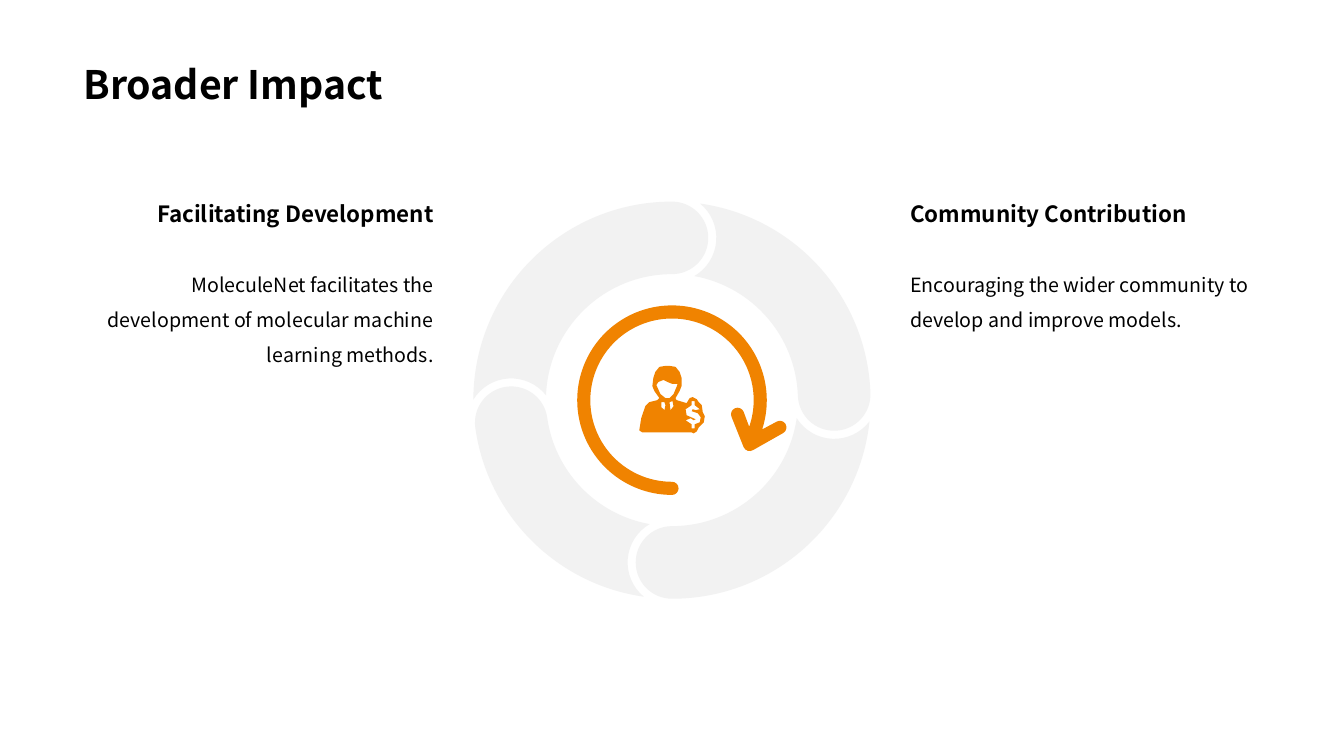
from math import acos, ceil, cos, degrees, radians, sin, tan

from lxml.etree import SubElement
from pptx import Presentation
from pptx.dml.color import RGBColor
from pptx.enum.text import MSO_ANCHOR, MSO_AUTO_SIZE, PP_ALIGN
from pptx.oxml.ns import qn
from pptx.util import Inches, Pt

WIDE, HIGH = 13.33, 7.5
SIDE = 0.73
FONT = "Noto Sans CJK SC"
BLACK, GREY, ORANGE = "000000", "F2F2F2", "F08300"
HEAD = {"size": Pt(16), "bold": True}
BODY = {"size": Pt(14), "bold": False}
TITLE = {"size": Pt(28), "bold": True}

# Contours of the investor icon, in hundredths of an inch
FIGURE = [
    [(63, 46), (62, 39), (59, 36), (57, 33), (53, 31), (50, 32), (47, 37),
     (37, 34), (36, 32), (40, 25), (42, 20), (42, 12), (40, 6), (36, 1),
     (30, 0), (26, 0), (20, 1), (16, 6), (14, 12), (13, 20), (15, 25),
     (20, 32), (18, 34), (10, 36), (6, 40), (2, 52), (0, 64), (3, 66),
     (52, 66), (54, 67), (57, 65), (59, 61), (64, 56), (65, 50)],
    [(25, 44), (22, 41), (22, 36), (25, 36), (26, 39)],
    [(31, 44), (30, 36), (33, 35), (34, 40)],
    [(30, 32), (26, 32), (21, 28), (17, 19), (19, 16), (24, 14), (28, 16),
     (33, 18), (38, 18), (37, 21), (34, 28)],
    [(60, 56), (55, 58), (55, 62), (52, 62), (52, 58), (46, 54), (51, 52),
     (54, 54), (56, 53), (47, 49), (46, 43), (52, 39), (52, 35), (55, 35),
     (55, 39), (60, 43), (56, 44), (53, 43), (52, 45), (58, 47), (61, 51)],
]


def tint(code):
    return RGBColor.from_string(code)


def style(para, text, look, **form):
    para.text = text
    for key, value in form.items():
        setattr(para, key, value)
    for key, value in {"name": FONT, **look}.items():
        setattr(para.font, key, value)
    para.font.color.rgb = tint(BLACK)


def spot(hub, size, turn):
    """Point on a circle; degrees run clockwise from the top."""
    return (hub[0] + size * sin(radians(turn)),
            hub[1] - size * cos(radians(turn)))


def arc(hub, size, start, stop):
    """Bezier points of an arc, led by a straight join to its start."""
    count = ceil(abs(stop - start) / 90)
    step = (stop - start) / count
    pull = 4 / 3 * tan(radians(step / 4)) * size
    points = [spot(hub, size, start)] * 3
    for i in range(count):
        turn = start + i * step
        a, b = (spot(hub, size, t) for t in (turn, turn + step))
        points += [spot(a, pull, turn + 90),
                   spot(b, -pull, turn + step + 90), b]
    return points


def draw(slide, loops, color):
    """Fill one outline made of closed loops given in inches."""
    loops = [[(Inches(x), Inches(y)) for x, y in loop] for loop in loops]
    pen = slide.shapes.build_freeform(*loops[0][0])
    for i, loop in enumerate(loops):
        if i:
            pen.move_to(*loop[0])
        pen.add_line_segments(loop[1:], close=True)
    shape = pen.convert_to_shape()
    shape.shadow.inherit = False
    shape.fill.solid()
    shape.fill.fore_color.rgb = tint(color)
    shape.line.fill.background()
    return shape


def bend(slide, loop, color):
    """Draw a loop of Bezier points as smooth curves."""
    shape = draw(slide, [loop[2:]], color)
    lines = list(shape._element.iter(qn("a:lnTo")))
    for i in range(0, len(lines), 3):
        trio = lines[i:i + 3]
        route = trio[0].getparent()
        curve = SubElement(route, qn("a:cubicBezTo"))
        route.replace(trio[0], curve)
        for line in trio:
            curve.append(line[0])
        for line in trio[1:]:
            route.remove(line)


def ring(slide, hub, outer, inner):
    """Four interlocking bands, each with a round cap and a hollow tail."""
    mid, cap = (outer + inner) / 2, (outer - inner) / 2
    gap = cap + 0.08

    def meet(size):
        """Where the gap circle cuts a ring edge, seen from hub and cap."""
        share = (size**2 + mid**2 - gap**2) / (2 * size * mid)
        return degrees(acos(share)), degrees(acos((size * share - mid) / gap))

    (far, rim), (near, core) = meet(outer), meet(inner)
    ends = [0, 88, 180, 262]
    for i, end in enumerate(ends):
        tail = ends[i - 1] - (0 if i else 360)
        front, back = spot(hub, mid, end), spot(hub, mid, tail)
        band = (arc(hub, outer, tail + far, end)
                + arc(front, cap, end, end + 180)
                + arc(hub, inner, end, tail + near)
                + arc(back, gap, tail + core, tail + rim))
        bend(slide, band, GREY)


def arrow(slide, hub, size, thick):
    """Round arrow with blunt ends and an open head."""
    half = thick / 2
    x, y = hub
    loop = (arc(hub, size, 180, 468)
            + arc((x + 1.07, y + 0.27), half, -30, 150)
            + arc((x + 0.77, y + 0.44), half, 150, 246)
            + arc((x + 0.65, y + 0.14), half, 246, 426)
            + arc(hub, size - thick, 469, 180)
            + arc((x, y + size - half), half, 0, 180))
    bend(slide, loop, ORANGE)


def icon(slide, left, top):
    draw(slide, [[(left + x / 100, top + y / 100) for x, y in loop]
                 for loop in FIGURE], ORANGE)


def column(slide, box, head, body, align):
    left, top, width, height = box
    rows = [(head, HEAD, 0, 0.37, 1.0), (body, BODY, 0.6, height - 0.6, 1.5)]
    for text, look, drop, tall, space in rows:
        area = slide.shapes.add_textbox(
            *map(Inches, (left, top + drop, width, tall)))
        frame = area.text_frame
        frame.word_wrap = True
        frame.auto_size = MSO_AUTO_SIZE.SHAPE_TO_FIT_TEXT
        style(frame.paragraphs[0], text, look,
              alignment=align, line_spacing=space)


def title(slide, box, text):
    shape = slide.shapes.title
    for key, value in zip(("left", "top", "width", "height"), box):
        setattr(shape, key, Inches(value))
    frame = shape.text_frame
    frame.vertical_anchor = MSO_ANCHOR.BOTTOM
    style(frame.paragraphs[0], text, TITLE,
          alignment=PP_ALIGN.LEFT, line_spacing=0.9)


def main():
    deck = Presentation()
    deck.slide_width, deck.slide_height = Inches(WIDE), Inches(HIGH)
    slide = deck.slides.add_slide(deck.slide_layouts[5])
    hub = (WIDE / 2, 3.97)
    title(slide, (SIDE, 0, WIDE - 2 * SIDE, 1.12), "Broader Impact")
    arrow(slide, hub, 0.94, 0.13)
    ring(slide, hub, 1.97, 1.25)
    icon(slide, 6.34, 3.63)
    wide, top, tall = 3.67, 1.94, 3.13
    column(slide, (SIDE, top, wide, tall), "Facilitating Development",
           "MoleculeNet facilitates the development of molecular machine "
           "learning methods.", PP_ALIGN.RIGHT)
    column(slide, (WIDE - SIDE - wide, top, wide, tall),
           "Community Contribution",
           "Encouraging the wider community to develop and improve models.",
           PP_ALIGN.LEFT)
    deck.save("out.pptx")


if __name__ == "__main__":
    main()
